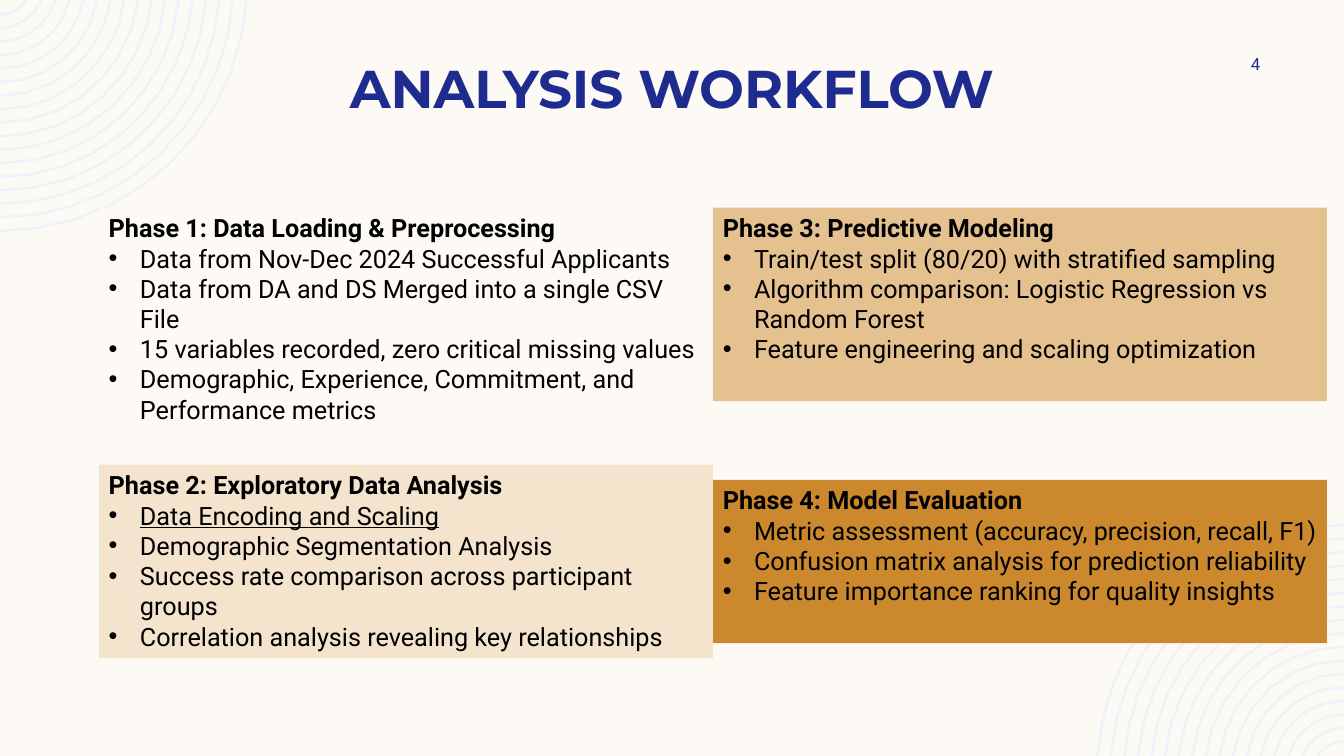
from math import asin, cos, pi, sin

from lxml.etree import SubElement
from pptx import Presentation
from pptx.dml.color import RGBColor
from pptx.enum.shapes import MSO_SHAPE
from pptx.enum.text import MSO_ANCHOR, MSO_AUTO_SIZE, PP_ALIGN
from pptx.oxml.ns import qn
from pptx.util import Inches, Pt

CREAM = RGBColor(0xFD, 0xFA, 0xF6)
PALE_BLUE = RGBColor(0xEE, 0xF3, 0xFA)
NAVY = RGBColor(0x1F, 0x2C, 0x8F)
BLACK = RGBColor(0x00, 0x00, 0x00)
SAND = RGBColor(0xF4, 0xE3, 0xCD)
TAN = RGBColor(0xE6, 0xC1, 0x90)
OCHRE = RGBColor(0xCC, 0x88, 0x2D)

WIDTH, HEIGHT = 13.33, 7.5

# Concentric rings around a point just outside the corner
RING_COUNT = 17
RING_RADIUS, RING_STEP = 2.45, 0.134
CENTER_OFFSET = 0.16

# Grid of phase boxes
COLUMN_LEFT, COLUMN_WIDTH = 0.98, 6.09
BULLET_INDENT = Inches(0.31)


def arc(radius, flipped):
    """Points of a ring, from the slide's top (or bottom) edge to its side."""
    start = asin(CENTER_OFFSET / radius)
    steps = 3 + round(3 * radius)
    points = []
    for step in range(steps + 1):
        angle = start + (pi / 2 - start) * step / steps
        x, y = radius * cos(angle), radius * sin(angle) - CENTER_OFFSET
        if flipped:
            x, y = WIDTH - x, HEIGHT - y
        points.append((Inches(x), Inches(y)))
    return points


def style(paragraph, size, color, bold=False, name="Roboto"):
    font = paragraph.font
    font.name, font.size, font.bold = name, Pt(size), bold
    font.color.rgb = color


presentation = Presentation()
presentation.slide_width, presentation.slide_height = Inches(WIDTH), Inches(HEIGHT)
slide = presentation.slides.add_slide(presentation.slide_layouts[6])
slide.background.fill.solid()
slide.background.fill.fore_color.rgb = CREAM

# Corner rings: top left, then bottom right
for flipped in (False, True):
    arcs = [arc(RING_RADIUS - ring * RING_STEP, flipped) for ring in range(RING_COUNT)]
    builder = slide.shapes.build_freeform(*arcs[0][0])
    builder.add_line_segments(arcs[0][1:], close=False)
    for points in arcs[1:]:
        builder.move_to(*points[0])
        builder.add_line_segments(points[1:], close=False)
    rings = builder.convert_to_shape()
    rings.shadow.inherit = False
    rings.fill.background()
    rings.line.color.rgb = PALE_BLUE
    rings.line.width = Pt(1.8)

# Title
title = slide.shapes.add_textbox(Inches(0.83), Inches(0.26), Inches(11.67), Inches(1.16))
title.text_frame.word_wrap = True
title.text_frame.vertical_anchor = MSO_ANCHOR.MIDDLE
paragraph = title.text_frame.paragraphs[0]
paragraph.text = "ANALYSIS WORKFLOW"
paragraph.alignment = PP_ALIGN.CENTER
paragraph.line_spacing = Pt(48.8)
style(paragraph, 38, NAVY, bold=True, name="Montserrat")

# Slide number
number = slide.shapes.add_textbox(Inches(11.42), Inches(0.5), Inches(1.08), Inches(0.27))
number.text_frame.word_wrap = True
number.text_frame.margin_right = 0
number.text_frame.vertical_anchor = MSO_ANCHOR.MIDDLE
paragraph = number.text_frame.paragraphs[0]
paragraph.text = "4"
paragraph.alignment = PP_ALIGN.RIGHT
style(paragraph, 12, NAVY)

# Phases: column, top, height, fill, heading, bullets
phases = [
    (0, 2.06, 2.22, CREAM, "Phase 1: Data Loading & Preprocessing", [
        "Data from Nov-Dec 2024 Successful Applicants",
        "Data from DA and DS Merged into a single CSV File",
        "15 variables recorded, zero critical missing values",
        "Demographic, Experience, Commitment, and Performance metrics",
    ]),
    (1, 2.06, 1.92, TAN, "Phase 3: Predictive Modeling", [
        "Train/test split (80/20) with stratified sampling",
        "Algorithm comparison: Logistic Regression vs Random Forest",
        "Feature engineering and scaling optimization",
    ]),
    (1, 4.76, 1.62, OCHRE, "Phase 4: Model Evaluation", [
        "Metric assessment (accuracy, precision, recall, F1)",
        "Confusion matrix analysis for prediction reliability",
        "Feature importance ranking for quality insights",
    ]),
    (0, 4.61, 1.92, SAND, "Phase 2: Exploratory Data Analysis", [
        "Data Encoding and Scaling",
        "Demographic Segmentation Analysis",
        "Success rate comparison across participant groups",
        "Correlation analysis revealing key relationships",
    ]),
]
UNDERLINED = "Data Encoding and Scaling"

for column, top, height, fill, heading, bullets in phases:
    box = slide.shapes.add_shape(
        MSO_SHAPE.RECTANGLE, Inches(COLUMN_LEFT + column * COLUMN_WIDTH), Inches(top),
        Inches(COLUMN_WIDTH), Inches(height))
    box.shadow.inherit = False
    box.fill.solid()
    box.fill.fore_color.rgb = fill
    box.line.fill.background()
    frame = box.text_frame
    frame.word_wrap = True
    frame.auto_size = MSO_AUTO_SIZE.SHAPE_TO_FIT_TEXT
    frame.vertical_anchor = MSO_ANCHOR.TOP

    paragraph = frame.paragraphs[0]
    paragraph.text = heading
    paragraph.alignment = PP_ALIGN.LEFT
    style(paragraph, 18, BLACK, bold=True)

    for bullet in bullets:
        paragraph = frame.add_paragraph()
        paragraph.text = bullet
        paragraph.alignment = PP_ALIGN.LEFT
        properties = paragraph._p.get_or_add_pPr()
        properties.set("marL", str(BULLET_INDENT))
        properties.set("indent", str(-BULLET_INDENT))
        SubElement(properties, qn("a:buFont"), typeface="Arial")
        SubElement(properties, qn("a:buChar"), char="•")
        style(paragraph, 18, BLACK)
        if bullet == UNDERLINED:
            paragraph.font.underline = True

presentation.save("out.pptx")
